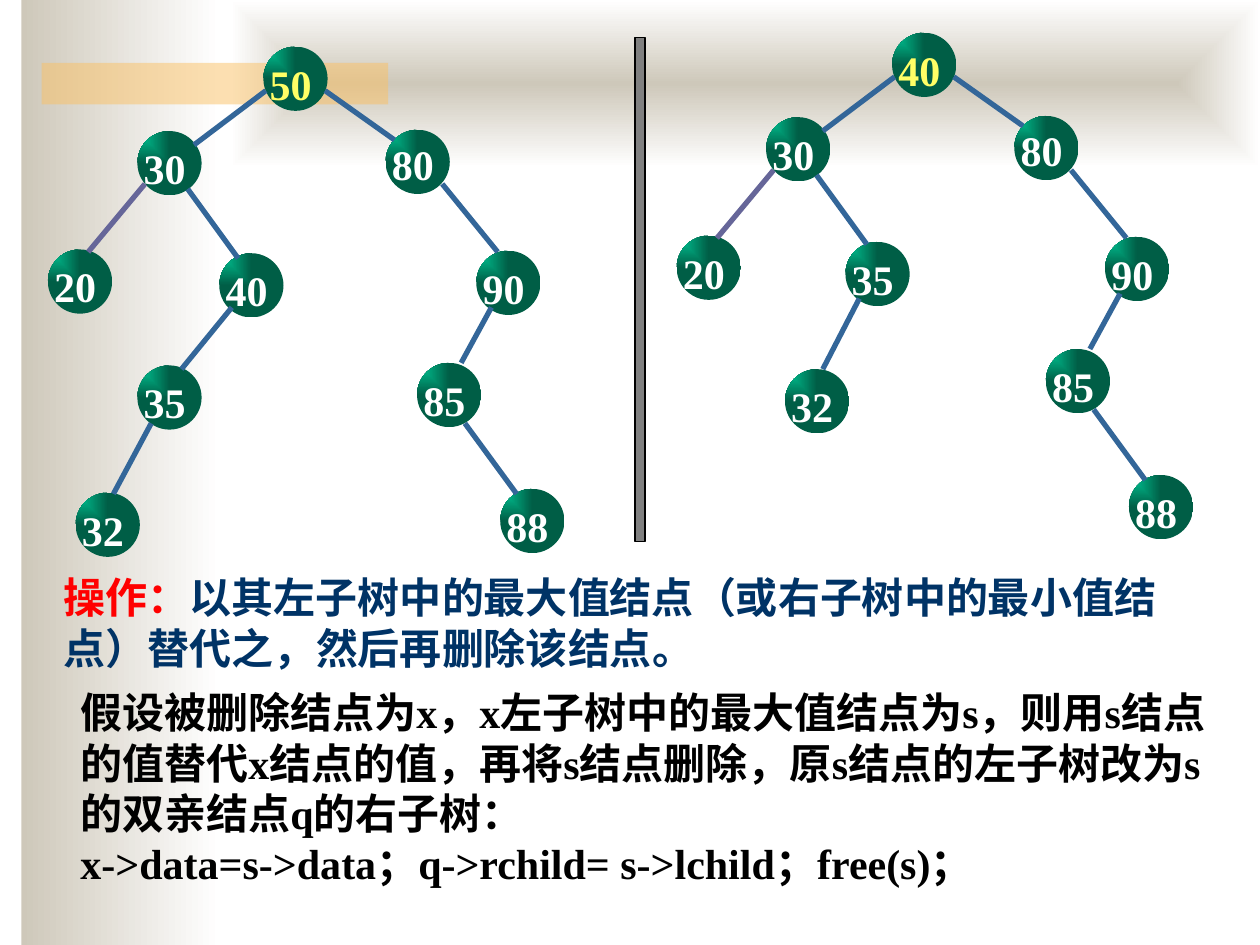
from dataclasses import dataclass

from lxml.etree import SubElement
from pptx import Presentation
from pptx.dml.color import RGBColor
from pptx.enum.shapes import MSO_CONNECTOR as Connector, MSO_SHAPE as Preset
from pptx.enum.text import MSO_ANCHOR as Anchor, MSO_AUTO_SIZE as AutoSize
from pptx.oxml.ns import qn
from pptx.util import Inches, Pt

COLUMNS, ROWS = 1000, 750
NODE_SIZE = 51
BLUE, VIOLET = "336699", "666699"
WHITE, YELLOW = "FFFFFF", "FFFF66"
SAND = "CEC8BA"

deck = Presentation()
deck.slide_width, deck.slide_height = Inches(10), Inches(7.5)
slide = deck.slides.add_slide(deck.slide_layouts[6])


@dataclass
class Node:
    value: str
    column: int
    row: int
    color: str = WHITE
    label_drop: int = 5


@dataclass
class Edge:
    x1: int
    y1: int
    x2: int
    y2: int
    color: str = BLUE


@dataclass
class Tree:
    column: int
    row: int
    nodes: list[Node]
    edges: list[Edge]


@dataclass
class Span:
    text: str
    color: str


def rgb(code: str) -> RGBColor:
    return RGBColor.from_string(code)


def grid(column: int, row: int) -> tuple[int, int]:
    return deck.slide_width * column // COLUMNS, deck.slide_height * row // ROWS


def add_panel(preset, column: int, row: int, width: int, height: int):
    panel = slide.shapes.add_shape(preset, *grid(column, row), *grid(width, height))
    panel.shadow.inherit = False
    panel.line.fill.background()
    return panel


def fill_solid(panel, color: str) -> None:
    panel.fill.solid()
    panel.fill.fore_color.rgb = rgb(color)


def fill_gradient(panel, start: str, end: str, route: str = "", focus: tuple = ()) -> None:
    panel.fill.gradient()
    panel.fill.gradient_angle = 0
    for stop, color in zip(panel.fill.gradient_stops, (start, end)):
        stop.color.rgb = rgb(color)
    if route:
        gradient = panel._element.spPr.find(qn("a:gradFill"))
        gradient.remove(gradient.find(qn("a:lin")))
        shading = SubElement(gradient, qn("a:path"), {"path": route})
        sides = {side: str(share * 1000) for side, share in zip("ltrb", focus)}
        SubElement(shading, qn("a:fillToRect"), sides)


def add_text(column: int, row: int, width: int, height: int, paragraphs: list[list[Span]]):
    box = slide.shapes.add_textbox(*grid(column, row), *grid(width, height))
    frame = box.text_frame
    frame.word_wrap = True
    for index, spans in enumerate(paragraphs):
        paragraph = frame.add_paragraph() if index else frame.paragraphs[0]
        for span in spans:
            run = paragraph.add_run()
            run.text = span.text
            run.font.name = "Times New Roman"
            run.font.size = Pt(24)
            run.font.bold = True
            run.font.color.rgb = rgb(span.color)
    return frame


def add_node(node: Node, column: int, row: int) -> None:
    left, top = column + node.column, row + node.row
    circle = add_panel(Preset.OVAL, left, top, NODE_SIZE, NODE_SIZE)
    fill_gradient(circle, "00CC99", "005E46", "rect", (0, 0, 100, 100))
    label = add_text(left + 5, top + node.label_drop, 40, 52, [[Span(node.value, node.color)]])
    label.margin_left = label.margin_top = label.margin_right = 0
    label.margin_bottom = Inches(0.04)
    label.vertical_anchor = Anchor.MIDDLE


def add_edge(edge: Edge, column: int, row: int) -> None:
    branch = slide.shapes.add_connector(
        Connector.STRAIGHT,
        *grid(column + edge.x1, row + edge.y1),
        *grid(column + edge.x2, row + edge.y2),
    )
    branch.line.color.rgb = rgb(edge.color)
    branch.line.width = Pt(3)
    SubElement(branch._element.spPr, qn("a:effectLst"))


def add_tree(tree: Tree) -> None:
    for node in tree.nodes:
        add_node(node, tree.column, tree.row)
    for edge in tree.edges:
        add_edge(edge, tree.column, tree.row)


def add_backdrop() -> None:
    fill_gradient(add_panel(Preset.RECTANGLE, 17, 0, 158, 750), SAND, WHITE)
    header = add_panel(Preset.RECTANGLE, 183, 0, 817, 133)
    fill_gradient(header, SAND, WHITE, "shape", (50, 50, 50, 50))
    accent = add_panel(Preset.RECTANGLE, 33, 50, 275, 33)
    fill_solid(accent, "FAC164")
    tint = accent._element.spPr.find(qn("a:solidFill"))[0]
    SubElement(tint, qn("a:alpha"), {"val": "50000"})


def add_divider() -> None:
    divider = add_panel(Preset.RECTANGLE, 504, 30, 8, 400)
    fill_solid(divider, "808080")
    divider.line.color.rgb = rgb("000000")
    divider.line.width = Pt(0.75)


shared_nodes = [
    Node("30", 109, 104),
    Node("20", 38, 198),
    Node("80", 306, 103, label_drop=3),
    Node("90", 378, 199),
    Node("85", 331, 288),
    Node("88", 397, 388),
]
shared_edges = [
    Edge(211, 72, 154, 115),
    Edge(115, 146, 70, 200, VIOLET),
    Edge(258, 72, 313, 111),
    Edge(149, 150, 189, 205),
    Edge(351, 146, 395, 200),
    Edge(390, 244, 366, 288),
    Edge(369, 336, 410, 392),
]
before = Tree(
    0, 0,
    [Node("50", 209, 37, YELLOW), *shared_nodes,
     Node("40", 174, 201), Node("35", 109, 290), Node("32", 60, 391)],
    [*shared_edges, Edge(184, 244, 144, 293), Edge(120, 336, 90, 392)],
)
after = Tree(
    499, -11,
    [Node("40", 209, 37, YELLOW), *shared_nodes,
     Node("35", 172, 203), Node("32", 124, 304)],
    [*shared_edges, Edge(183, 248, 154, 304)],
)

add_backdrop()
operation = add_text(41, 449, 930, 91, [[
    Span("操作：", "FF0000"),
    Span("以其左子树中的最大值结点（或右子树中的最小值结点）替代之，然后再删除该结点。", "003366"),
]])
add_divider()
for tree in (before, after):
    add_tree(tree)
explanation = add_text(54, 540, 918, 172, [
    [Span("假设被删除结点为x，x左子树中的最大值结点为s，则用s结点的值替代x结点的值，"
          "再将s结点删除，原s结点的左子树改为s的双亲结点q的右子树：", "000000")],
    [Span("x->data=s->data；q->rchild= s->lchild；free(s)；", "000000")],
])
for passage in (operation, explanation):
    passage.auto_size = AutoSize.SHAPE_TO_FIT_TEXT

deck.save("out.pptx")
